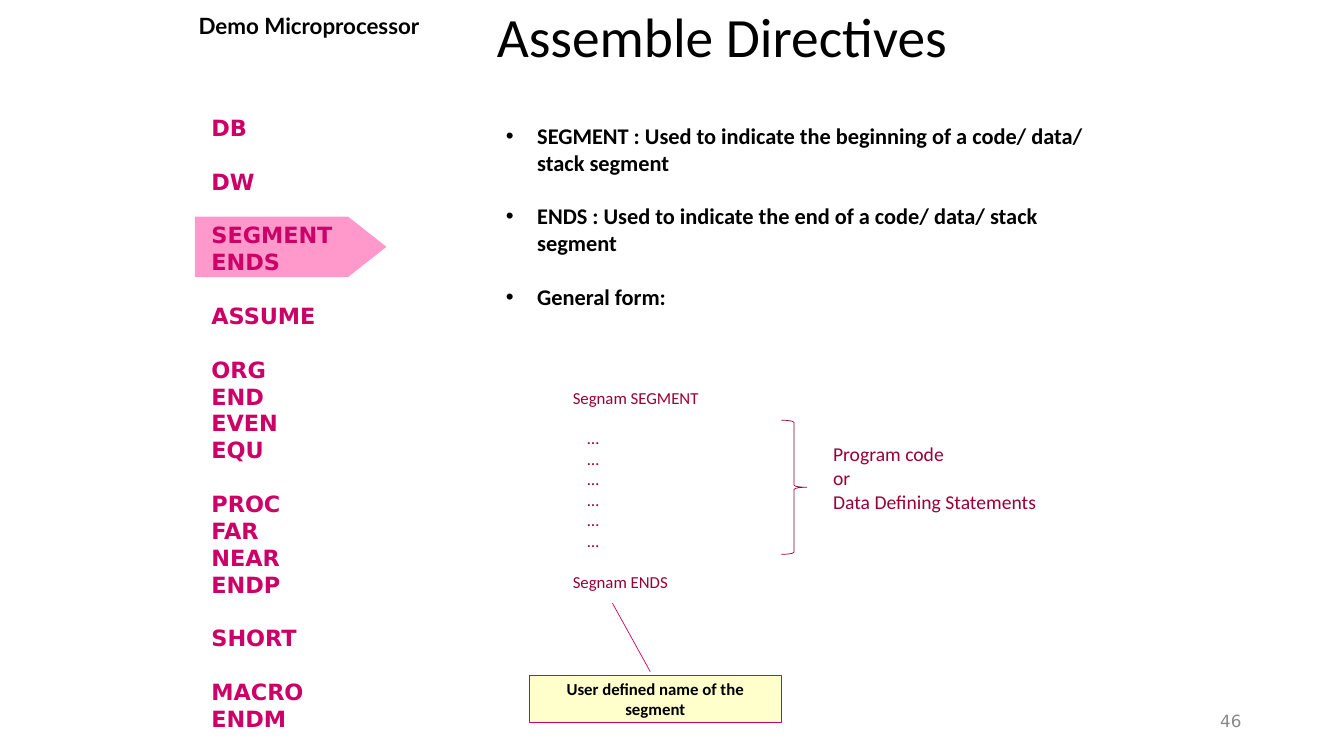
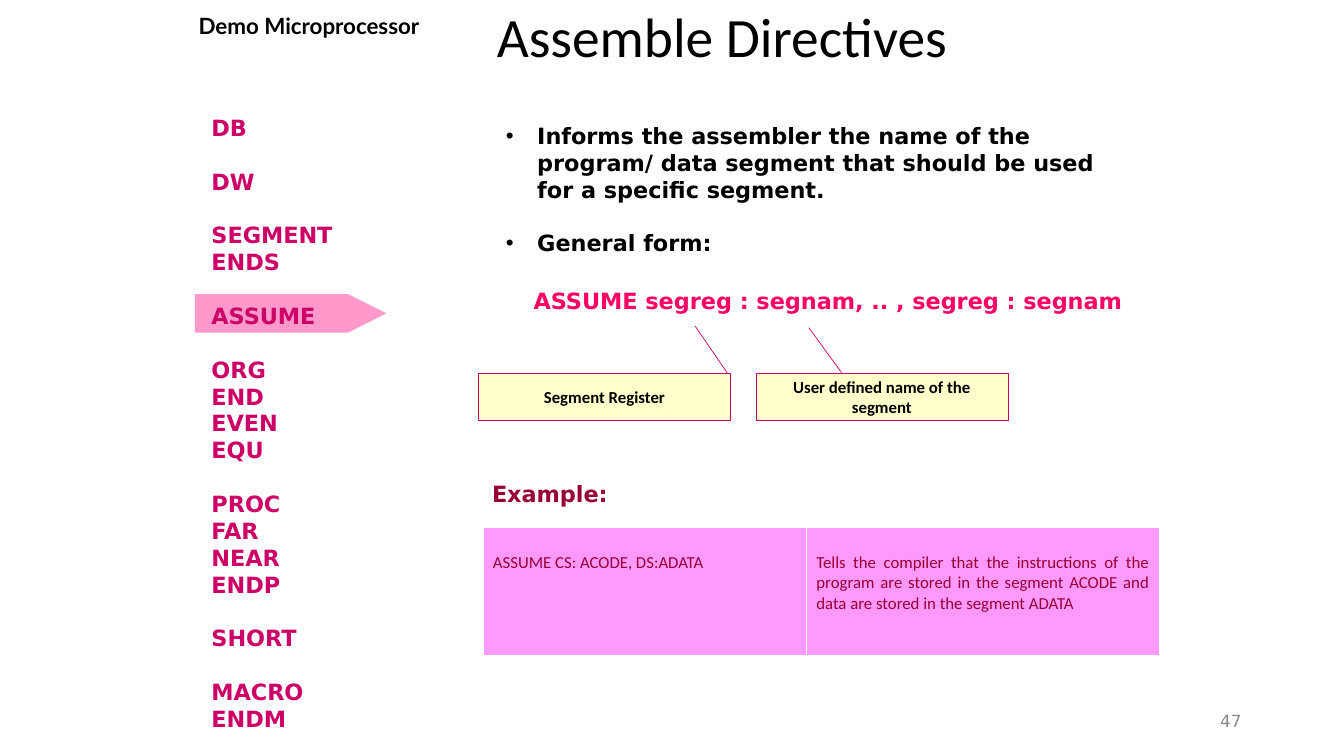
from dataclasses import dataclass, replace

from lxml import etree
from pptx import Presentation
from pptx.dml.color import RGBColor
from pptx.enum.shapes import MSO_SHAPE
from pptx.enum.text import MSO_ANCHOR, PP_ALIGN
from pptx.oxml.ns import qn
from pptx.util import Cm, Pt

ARROW = MSO_SHAPE.FLOWCHART_OFFPAGE_CONNECTOR
CALLOUT = MSO_SHAPE.LINE_CALLOUT_1
BRACE = MSO_SHAPE.RIGHT_BRACE
TOP, MIDDLE = MSO_ANCHOR.TOP, MSO_ANCHOR.MIDDLE
LEFT, CENTER, RIGHT, JUSTIFY = PP_ALIGN.LEFT, PP_ALIGN.CENTER, PP_ALIGN.RIGHT, PP_ALIGN.JUSTIFY

BLACK, GREY, WHITE = "000000", "898989", "FFFFFF"
MAGENTA, PINK, HOT_PINK, ORCHID = "CC0066", "FF99CC", "FF0066", "FF99FF"
MAROON, CREAM = "990033", "FFFFCC"

DIRECTIVES = [
    ["DB"], ["DW"], ["SEGMENT", "ENDS"], ["ASSUME"],
    ["ORG", "END", "EVEN", "EQU"], ["PROC", "FAR", "NEAR", "ENDP"],
    ["SHORT"], ["MACRO", "ENDM"],
]


@dataclass(frozen=True)
class Style:
    size: float
    font: str = "Calibri"
    color: str = BLACK
    bold: bool = False
    align: PP_ALIGN = LEFT
    spacing: object = None
    gap: float = 0


TITLE = Style(39.6, spacing=0.9)
HEADING = Style(16, "Lato", bold=True, align=CENTER)
NUMBER = Style(12, "DejaVu Sans", GREY, align=RIGHT)
MENU = Style(16, "DejaVu Sans", MAGENTA, True, spacing=Pt(19.2), gap=19.2)
BODY = replace(MENU, font="Calibri", color=BLACK)
WIDE_BODY = replace(MENU, color=BLACK)
SYNTAX = replace(MENU, color=HOT_PINK)
EXAMPLE = replace(MENU, color=MAROON)
NOTE = Style(12, bold=True, align=CENTER)
CODE = Style(12, color=MAROON, gap=14.6)
REMARK = replace(CODE, size=14)
EXPLANATION = replace(CODE, align=JUSTIFY)


def rgb(color):
    return RGBColor.from_string(color)


def write(frame, groups, style):
    frame.word_wrap = True
    paragraph = None
    for group_index, group in enumerate(groups):
        for line_index, line in enumerate(group):
            paragraph = frame.add_paragraph() if paragraph else frame.paragraphs[0]
            paragraph.text = line
            paragraph.alignment = style.align
            if style.spacing:
                paragraph.line_spacing = style.spacing
            if group_index and not line_index:
                paragraph.space_before = Pt(style.gap)
            font = paragraph.font
            font.name, font.size, font.bold = style.font, Pt(style.size), style.bold
            font.color.rgb = rgb(style.color)


def indent(paragraph, margin, first_line=0):
    properties = paragraph._p.get_or_add_pPr()
    properties.set("marL", str(Cm(margin)))
    properties.set("indent", str(Cm(first_line)))
    return properties


def add_text(slide, left, top, width, height, groups, style, anchor=TOP):
    box = slide.shapes.add_textbox(Cm(left), Cm(top), Cm(width), Cm(height))
    box.text_frame.vertical_anchor = anchor
    write(box.text_frame, groups, style)
    return box


def add_bullets(slide, lines, style):
    box = add_text(slide, 12.5, 2.95, 15.67, 5.05, [[line] for line in lines], style)
    for paragraph in box.text_frame.paragraphs:
        properties = indent(paragraph, 0.79, -0.79)
        defaults = properties.find(qn("a:defRPr"))
        font = etree.Element(qn("a:buFont"), typeface="Arial")
        bullet = etree.Element(qn("a:buChar"), char="•")
        defaults.addprevious(font)
        defaults.addprevious(bullet)


def add_shape(slide, kind, left, top, width, height, fill=None, line=None):
    shape = slide.shapes.add_shape(kind, Cm(left), Cm(top), Cm(width), Cm(height))
    shape.shadow.inherit = False
    if fill:
        shape.fill.solid()
        shape.fill.fore_color.rgb = rgb(fill)
    else:
        shape.fill.background()
    if line:
        shape.line.color.rgb = rgb(line)
        shape.line.width = Pt(0.5)
    else:
        shape.line.fill.background()
    return shape


def add_arrow(slide, top, height):
    left, length = 4.91, 4.83
    shift = (length - height) / 2
    arrow = add_shape(slide, ARROW, left + shift, top - shift, height, length, PINK)
    arrow.rotation = 270


def add_callout(slide, left, top, text, pointer):
    callout = add_shape(slide, CALLOUT, left, top, 6.35, 1.19, CREAM, MAGENTA)
    for index, value in enumerate(pointer):
        callout.adjustments[index] = value
    callout.text_frame.vertical_anchor = MIDDLE
    write(callout.text_frame, [[text]], NOTE)


def add_table(slide, left, top, widths, height, fill, contents):
    frame = slide.shapes.add_table(
        1, len(widths), Cm(left), Cm(top), Cm(sum(widths)), Cm(height))
    table = frame.table
    table.first_row = table.horz_banding = False
    for index, (width, (groups, style, margin)) in enumerate(zip(widths, contents)):
        table.columns[index].width = Cm(width)
        cell = table.cell(0, index)
        cell.fill.solid()
        cell.fill.fore_color.rgb = rgb(fill)
        cell.margin_top = Cm(margin)
        write(cell.text_frame, groups, style)
    return table


def add_directive_slide(presentation, number, arrow_top, arrow_height):
    slide = presentation.slides.add_slide(presentation.slide_layouts[6])
    add_arrow(slide, arrow_top, arrow_height)
    add_text(slide, 12.27, 0.32, 16.71, 1.35, [["Assemble Directives"]], TITLE, MIDDLE)
    add_text(slide, 23.92, 17.65, 7.62, 1.02, [[str(number)]], NUMBER, MIDDLE)
    add_text(slide, 4.4, 0.18, 6.78, 0.94, [["Demo Microprocessor"]], HEADING)
    add_text(slide, 5.08, 2.75, 4.14, 15.98, DIRECTIVES, MENU)
    return slide


def build_segment_slide(presentation):
    slide = add_directive_slide(presentation, 46, 5.46, 1.52)
    add_bullets(slide, [
        "SEGMENT : Used to indicate the beginning of a code/ data/ stack segment",
        "ENDS : Used to indicate the end of a code/ data/ stack segment",
        "General form:",
    ], BODY)
    table = add_table(slide, 14.18, 9.65, [6.56, 7.83], 5.33, WHITE, [
        ([["Segnam SEGMENT"], ["…"] * 6, ["Segnam ENDS"]], CODE, 0.13),
        ([["Program code", "or", "Data Defining Statements"]], REMARK, 1.51),
    ])
    for paragraph in table.cell(0, 0).text_frame.paragraphs[1:-1]:
        indent(paragraph, 0.37)
    add_callout(slide, 13.34, 17.02, "User defined name of the segment",
                (-0.08, 0.48, -1.53, 0.33))
    add_shape(slide, BRACE, 19.69, 10.59, 0.64, 3.38, line=MAROON)


def build_assume_slide(presentation):
    slide = add_directive_slide(presentation, 47, 7.41, 0.97)
    add_bullets(slide, [
        "Informs the assembler the name of the program/ data segment "
        "that should be used for a specific segment.",
        "General form:",
    ], WIDE_BODY)
    add_callout(slide, 12.06, 9.4, "Segment Register", (0.02, 0.99, -0.99, 0.86))
    add_text(slide, 13.2, 7.11, 16, 0.94,
             [["ASSUME segreg : segnam, .. , segreg : segnam"]], SYNTAX)
    add_callout(slide, 19.05, 9.4, "User defined name of the segment",
                (-0.01, 0.34, -0.96, 0.21))
    add_table(slide, 12.17, 13.28, [8.15, 8.9], 3.23, ORCHID, [
        ([["ASSUME CS: ACODE, DS:ADATA"]], CODE, 0.64),
        ([["Tells the compiler that the instructions of the program are stored "
           "in the segment ACODE and data are stored in the segment ADATA"]],
         EXPLANATION, 0.64),
    ])
    add_text(slide, 12.15, 11.98, 4, 0.94, [["Example:"]], EXAMPLE)


def main():
    presentation = Presentation()
    presentation.slide_width, presentation.slide_height = Cm(33.87), Cm(19.05)
    build_segment_slide(presentation)
    build_assume_slide(presentation)
    presentation.save("out.pptx")


if __name__ == "__main__":
    main()
